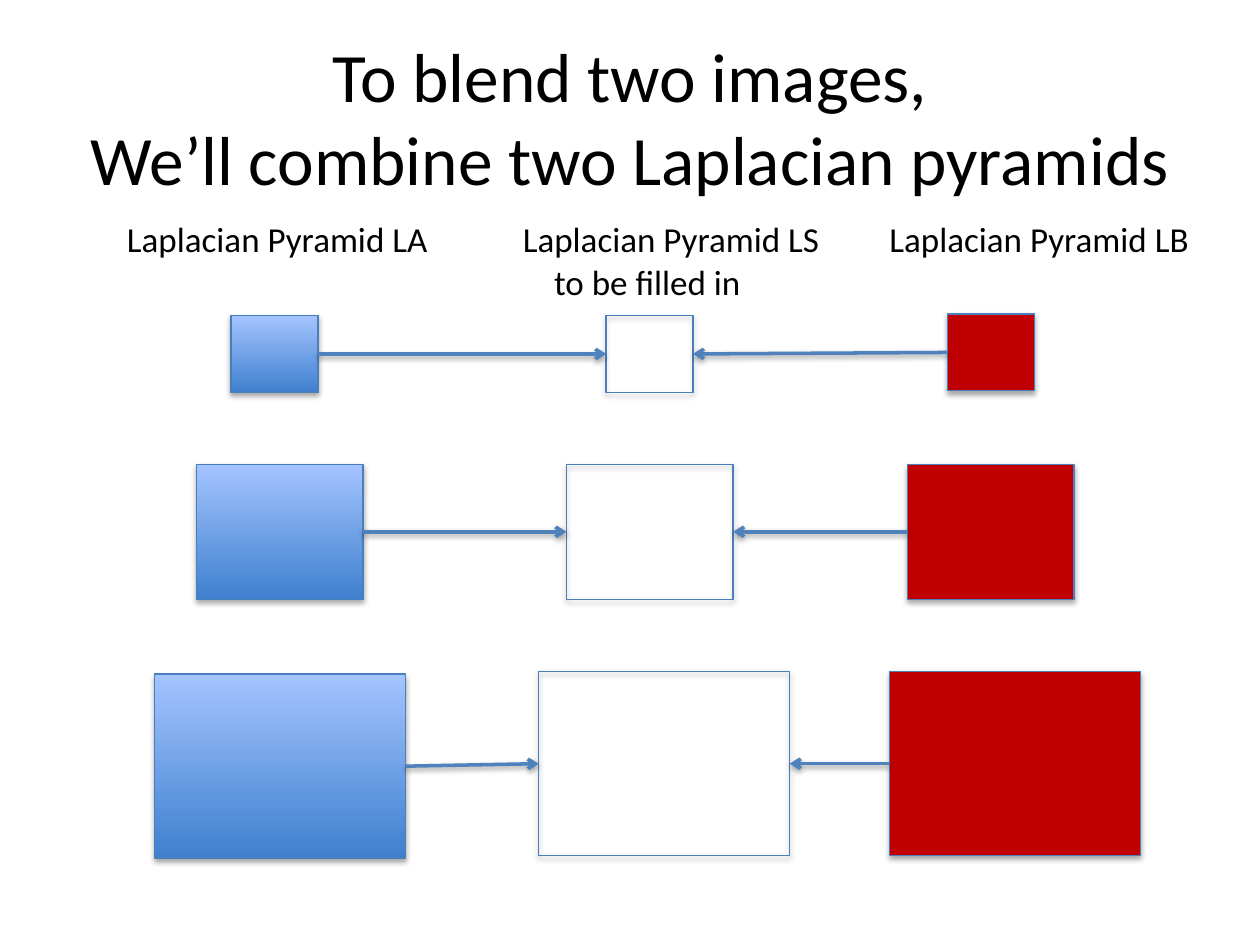
"""Build a slide on blending two images by combining their Laplacian pyramids."""
from lxml.etree import SubElement
from pptx import Presentation
from pptx.dml.color import RGBColor
from pptx.enum.shapes import MSO_CONNECTOR, MSO_SHAPE
from pptx.enum.text import MSO_ANCHOR, MSO_AUTO_SIZE, PP_ALIGN
from pptx.oxml.ns import qn
from pptx.util import Cm, Pt

COLORS = {
    "text": "000000",
    "outline": "4B7EBC",
    "arrow": "4F81BD",
    "blue_dark": "3F80CE",
    "blue_light": "A4C4FF",
    "red": "C00000",
}
FONT = "Calibri"


def color(key):
    return RGBColor.from_string(COLORS[key])


def add_text(paragraph, text, size):
    run = paragraph.add_run()
    run.text = text
    run.font.name = FONT
    run.font.size = Pt(size)
    run.font.color.rgb = color("text")


deck = Presentation()
deck.slide_width, deck.slide_height = Cm(25.4), Cm(19.05)
slide = deck.slides.add_slide(deck.slide_layouts[5])

title = slide.shapes.title
title.left, title.top, title.width, title.height = Cm(1.27), Cm(0.76), Cm(22.86), Cm(3.18)
title.text_frame.auto_size = MSO_AUTO_SIZE.NONE
title.text_frame.vertical_anchor = MSO_ANCHOR.MIDDLE
heading = title.text_frame.paragraphs[0]
heading.alignment = PP_ALIGN.CENTER
add_text(heading, "To blend two images,", 39.6)
heading.add_line_break()
add_text(heading, "We’ll combine two Laplacian pyramids", 39.6)

captions = slide.shapes.add_textbox(Cm(2.31), Cm(4.27), Cm(22.45), Cm(1.96)).text_frame
captions.word_wrap = True
pyramid_names = captions.paragraphs[0]
tab_list = SubElement(pyramid_names._p.get_or_add_pPr(), qn("a:tabLst"))
for stop in (7.98, 15.37):
    SubElement(tab_list, qn("a:tab"), pos=str(Cm(stop)), algn="l")
add_text(pyramid_names, "Laplacian Pyramid LA\tLaplacian Pyramid LS\tLaplacian Pyramid LB", 20)
fill_note = captions.add_paragraph()
fill_note._p.get_or_add_pPr().set("marL", str(Cm(8.61)))
add_text(fill_note, "to be filled in", 20)

levels = [
    (1.75, 1.55, [(4.66, 6.36), (12.22, 6.36), (19.1, 6.33)]),
    (3.36, 2.72, [(3.96, 9.36), (11.42, 9.36), (18.29, 9.36)]),
    (5.06, 3.71, [(3.12, 13.59), (10.86, 13.54), (17.93, 13.54)]),
]
pyramid_levels = []
for width, height, corners in levels:
    bands = []
    for pyramid, (left, top) in zip(("LA", "LS", "LB"), corners):
        band = slide.shapes.add_shape(MSO_SHAPE.RECTANGLE, Cm(left), Cm(top), Cm(width), Cm(height))
        if pyramid == "LA":
            band.fill.gradient()
            band.fill.gradient_angle = 90
            for gradient_stop, key in zip(band.fill.gradient_stops, ("blue_dark", "blue_light")):
                gradient_stop.color.rgb = color(key)
        elif pyramid == "LS":
            band.fill.background()
        else:
            band.fill.solid()
            band.fill.fore_color.rgb = color("red")
        band.line.color.rgb = color("outline")
        band.line.width = Pt(0.75)
        bands.append(band)
    pyramid_levels.append(bands)

LEFT_SITE, RIGHT_SITE = 1, 3
for band_a, band_s, band_b in pyramid_levels:
    for source, exit_site, entry_site in (
        (band_a, RIGHT_SITE, LEFT_SITE),
        (band_b, LEFT_SITE, RIGHT_SITE),
    ):
        arrow = slide.shapes.add_connector(MSO_CONNECTOR.STRAIGHT, 0, 0, 0, 0)
        arrow.begin_connect(source, exit_site)
        arrow.end_connect(band_s, entry_site)
        arrow.line.color.rgb = color("arrow")
        arrow.line.width = Pt(2)
        SubElement(arrow.line._get_or_add_ln(), qn("a:tailEnd"), type="arrow")

deck.save("out.pptx")
